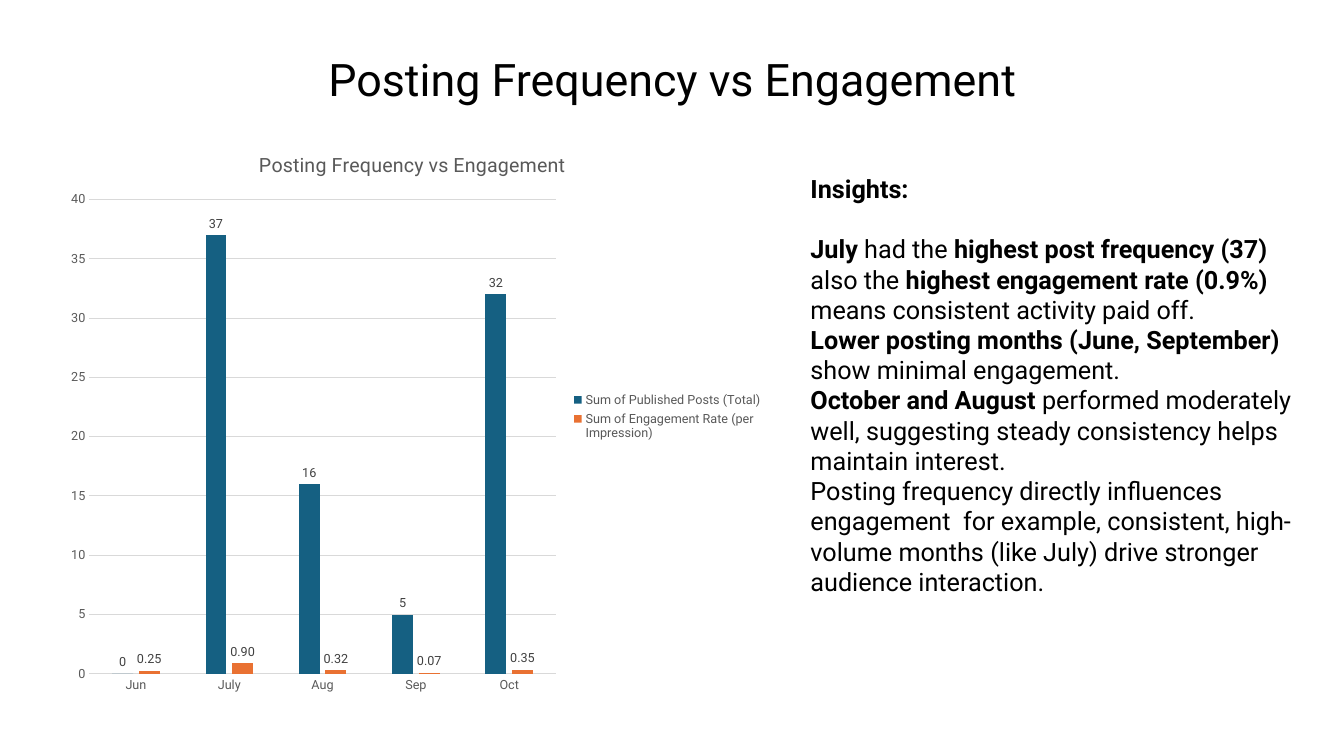
from dataclasses import dataclass

from lxml.etree import SubElement as Sub
from pptx import Presentation
from pptx.chart.data import CategoryChartData as ChartData
from pptx.dml.color import RGBColor as Rgb
from pptx.enum.chart import XL_CHART_TYPE as Kind
from pptx.enum.chart import XL_LABEL_POSITION as Spot
from pptx.enum.chart import XL_LEGEND_POSITION as Side
from pptx.enum.chart import XL_TICK_MARK as Tick
from pptx.enum.text import MSO_ANCHOR as Anchor
from pptx.enum.text import PP_ALIGN as Align
from pptx.oxml.ns import qn
from pptx.util import Inches, Pt

FONT = "Roboto"
COLORS = {
    "text": "000000",
    "axis": "595959",
    "label": "404040",
    "grid": "D9D9D9",
    "posts": "156082",
    "rate": "E97132",
}
HEAD = "Posting Frequency vs Engagement"
MONTHS = ["Jun", "July", "Aug", "Sep", "Oct"]


@dataclass
class Series:
    name: str
    vals: list[float]
    color: str
    form: str


@dataclass
class Para:
    runs: list[tuple[str, bool]]  # text, bold
    before: float = 0


SERIES = [
    Series("Sum of Published Posts (Total)", [0, 37, 16, 5, 32], "posts", "General"),
    Series("Sum of Engagement Rate (per Impression)",
           [0.25, 0.9, 0.32, 0.07, 0.35], "rate", "0.00"),
]
PARAS = [
    Para([("Insights:", True)]),
    Para([("July", True), (" had the ", False),
          ("highest post frequency (37)", True), ("  also the ", False),
          ("highest engagement rate (0.9%)", True),
          ("  means consistent activity paid off.", False)], before=21.5),
    Para([("Lower posting months (June, September)", True),
          (" show minimal engagement.", False)]),
    Para([("October and August", True),
          (" performed moderately well, suggesting steady consistency helps "
           "maintain interest.", False)]),
    Para([("Posting frequency directly influences engagement  for example, "
           "consistent, high-volume months (like July) drive stronger "
           "audience interaction.", False)]),
]


def paint(font, size: float, color: str, bold: bool = False) -> None:
    font.name, font.size, font.bold = FONT, Pt(size), bold
    font.color.rgb = Rgb.from_string(COLORS[color])


def rule(line) -> None:
    line.color.rgb = Rgb.from_string(COLORS["grid"])
    line.width = Pt(0.75)


def place(node, index: int, box: dict[str, float], inner: bool = False) -> None:
    """Fix the box of a chart part, in fractions of the chart."""
    for old in node.findall(qn("c:layout")):
        node.remove(old)
    layout = Sub(node, qn("c:layout"))
    node.insert(index, layout)
    manual = Sub(layout, qn("c:manualLayout"))
    if inner:
        Sub(manual, qn("c:layoutTarget")).set("val", "inner")
    for key in "xy":
        Sub(manual, qn(f"c:{key}Mode")).set("val", "edge")
    for key, val in box.items():
        Sub(manual, qn(f"c:{key}")).set("val", str(val))


def add_title(slide) -> None:
    title = slide.shapes.title
    title.left, title.top = Inches(0.92), Inches(0.4)
    title.width, title.height = Inches(11.5), Inches(0.82)
    frame = title.text_frame
    frame.text = HEAD
    frame.vertical_anchor = Anchor.MIDDLE
    para = frame.paragraphs[0]
    para.alignment, para.line_spacing = Align.CENTER, 0.9
    paint(para.runs[0].font, 32, "text")


def add_notes(slide) -> None:
    box = slide.shapes.add_textbox(
        Inches(7.94), Inches(1.67), Inches(5.14), Inches(4.64))
    frame = box.text_frame
    frame.word_wrap = True
    for i, item in enumerate(PARAS):
        para = frame.add_paragraph() if i else frame.paragraphs[0]
        if item.before:
            para.space_before = Pt(item.before)
        for text, bold in item.runs:
            run = para.add_run()
            run.text = text
            paint(run.font, 18, "text", bold)


def add_plot(slide) -> None:
    data = ChartData()
    data.categories = MONTHS
    for item in SERIES:
        data.add_series(item.name, item.vals, item.form)
    chart = slide.shapes.add_chart(
        Kind.COLUMN_CLUSTERED, Inches(0.53), Inches(1.3),
        Inches(7.12), Inches(5.67), data).chart
    paint(chart.font, 10, "text")

    # Heading and legend
    chart.has_title = True
    frame = chart.chart_title.text_frame
    frame.text = HEAD
    paint(frame.paragraphs[0].runs[0].font, 14, "axis")
    chart.chart_title.include_in_layout = False
    chart.has_legend = True
    legend = chart.legend
    legend.position = Side.RIGHT
    legend.include_in_layout = False
    paint(legend.font, 9, "axis")

    # Axes
    months, count = chart.category_axis, chart.value_axis
    for axis in (months, count):
        axis.major_tick_mark = axis.minor_tick_mark = Tick.NONE
        paint(axis.tick_labels.font, 9, "axis")
    rule(months.format.line)
    count.format.line.fill.background()
    rule(count.major_gridlines.format.line)
    count.minimum_scale, count.maximum_scale, count.major_unit = 0, 40, 5
    count.tick_labels.number_format = "General"
    count.tick_labels.number_format_is_linked = False

    # Columns
    plot = chart.plots[0]
    plot.gap_width, plot.overlap = 219, -27
    plot.vary_by_categories = False
    for bars, item in zip(plot.series, SERIES):
        bars.format.fill.solid()
        bars.format.fill.fore_color.rgb = Rgb.from_string(COLORS[item.color])
        bars.invert_if_negative = False
        labels = bars.data_labels
        labels.show_value = True
        labels.position = Spot.OUTSIDE_END
        labels.number_format = item.form
        labels.number_format_is_linked = False
        paint(labels.font, 9, "label")

    # Room for the columns and the legend
    area = chart.element.find(f".//{qn('c:plotArea')}")
    place(area, 0, {"x": 0.05, "y": 0.12, "w": 0.65, "h": 0.83}, inner=True)
    key = chart.element.find(f".//{qn('c:legend')}")
    place(key, 1, {"x": 0.72, "y": 0.45, "w": 0.27, "h": 0.1})


def main() -> None:
    deck = Presentation()
    deck.slide_width, deck.slide_height = Inches(13.33), Inches(7.5)
    slide = deck.slides.add_slide(deck.slide_layouts[5])
    add_title(slide)
    add_notes(slide)
    add_plot(slide)
    deck.save("out.pptx")


if __name__ == "__main__":
    main()
